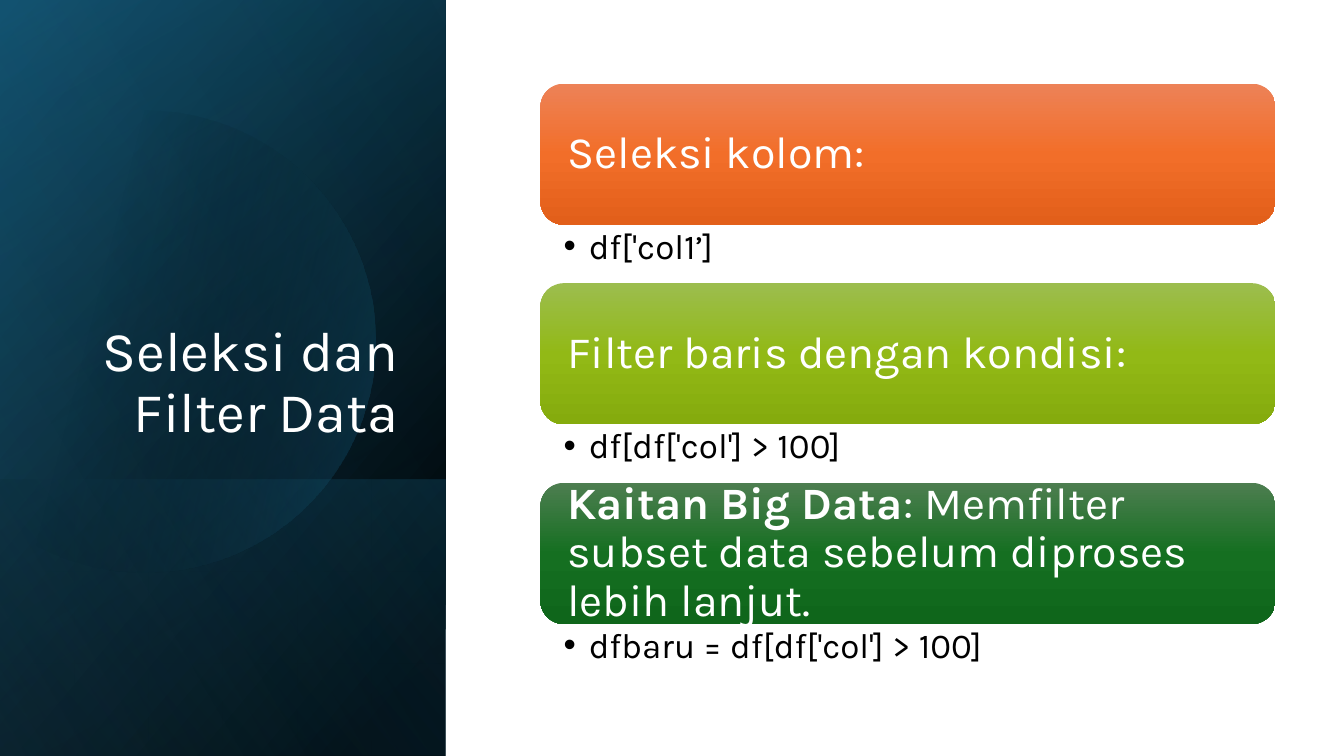
import math
from lxml import etree
from pptx import Presentation
from pptx import util as u
from pptx.dml.color import RGBColor
from pptx.enum import shapes, text
from pptx.oxml import ns

TITLE = "Seleksi dan Filter Data"
# (heading runs as (words, bold), code line, gradient stops)
CARDS = [
    ([("Seleksi kolom:", False)], "df['col1’]",
     [(0, "ED8257"), (50, "F26E29"), (100, "E25F1A")]),
    ([("Filter baris dengan kondisi:", False)], "df[df['col'] > 100]",
     [(0, "9CBD4E"), (50, "92B916"), (100, "85AB0D")]),
    ([("Kaitan Big Data", True),
      (": Memfilter subset data sebelum diproses lebih lanjut.", False)],
     "dfbaru = df[df['col'] > 100]",
     [(0, "4D7E50"), (50, "156F21"), (100, "0F661B")]),
]
# Panel layers: (top, height, angle, stops as (place, colour, opacity))
BASE = [
    (0, 7.5, 50, [(8, "000000"), (100, "104862")]),
    (0, 7.5, 30, [(0, "000000", 0), (99, "156082", 46)]),
    (4.76, 2.74, 130, [(2, "156082", 29), (100, "000000", 30)]),
]
GLOW = [(29, "000000", 0), (100, "156082", 43)]
SHEEN = (0, 7.5, 120, [(0, "000000", 0), (99, "46B1E1", 11)])
PANEL = 4.42
DISC = (1.43, 3.39, 2.29)  # centre x, centre y, radius
LEFT, TOP, WIDTH, HIGH, STEP, LINE = 5.36, 0.83, 7.29, 1.4, 1.98, 0.58


def inches(*vals):
    return [u.Inches(v) for v in vals]


def rgb(code):
    return RGBColor.from_string(code)


def paint(shape, stops, angle):
    """Give a shape a linear gradient, clockwise in degrees, and no line or shadow."""
    shape.shadow.inherit = False
    shape.line.fill.background()
    grad = etree.Element(ns.qn("a:gradFill"), rotWithShape="1")
    items = etree.SubElement(grad, ns.qn("a:gsLst"))
    for place, code, *alpha in stops:
        stop = etree.SubElement(items, ns.qn("a:gs"), pos=str(place * 1000))
        tint = etree.SubElement(stop, ns.qn("a:srgbClr"), val=code)
        for part in alpha:
            etree.SubElement(tint, ns.qn("a:alpha"), val=str(part * 1000))
    etree.SubElement(grad, ns.qn("a:lin"), ang=str(angle * 60000), scaled="0")
    shape.element.spPr.insert(2, grad)


def layer(tree, top, high, angle, stops):
    """Add a panel rectangle, mirrored and turned a quarter."""
    rect = tree.add_shape(shapes.MSO_SHAPE.RECTANGLE, *inches(
        (PANEL - high) / 2, top + (high - PANEL) / 2, high, PANEL))
    rect.rotation = 90
    rect.element.spPr.xfrm.set("flipH", "1")
    paint(rect, stops, angle)


def disc(tree):
    midx, midy, rad = DISC
    edge = math.acos(-midx / rad)
    turns = [edge * (k / 60 - 1) for k in range(121)]
    dots = [inches(midx + rad * math.cos(t), midy + rad * math.sin(t)) for t in turns]
    form = tree.build_freeform(*dots[0])
    form.add_line_segments(dots[1:], close=True)
    paint(form.convert_to_shape(), GLOW, 14)


def write(frame, runs, size, code, align, anchor, pads):
    sides = ("margin_left", "margin_top", "margin_right", "margin_bottom")
    look = dict(zip(sides, inches(*pads)), word_wrap=True,
                auto_size=text.MSO_AUTO_SIZE.NONE, vertical_anchor=anchor)
    for name, val in look.items():
        setattr(frame, name, val)
    para = frame.paragraphs[0]
    para.alignment, para.line_spacing = align, 0.9
    for words, bold in runs:
        run = para.add_run()
        run.text = words
        for name, val in dict(name="Karla", size=u.Pt(size), bold=bold).items():
            setattr(run.font, name, val)
        run.font.color.rgb = rgb(code)
    return para


def bullet(para):
    props = para._p.get_or_add_pPr()
    props.set("marL", str(u.Inches(0.25)))
    props.set("indent", str(u.Inches(-0.25)))
    etree.SubElement(props, ns.qn("a:buFont"), typeface="Arial")
    etree.SubElement(props, ns.qn("a:buChar"), char="•")


def card(tree, top, runs, line, stops):
    """Add a heading box with its code line below."""
    side, mid = text.PP_ALIGN.LEFT, text.MSO_ANCHOR
    box = tree.add_shape(shapes.MSO_SHAPE.ROUNDED_RECTANGLE,
                         *inches(LEFT, top, WIDTH, HIGH))
    paint(box, stops, 90)
    write(box.text_frame, runs, 32, "FFFFFF", side, mid.MIDDLE, (0.2, 0.2, 0.2, 0.2))
    note = tree.add_textbox(*inches(LEFT, top + HIGH, WIDTH, LINE))
    bullet(write(note.text_frame, [(line, False)], 25, "000000", side, mid.TOP,
                 (0.23, 0.04, 0.25, 0.04)))


def main():
    deck = Presentation()
    deck.slide_width, deck.slide_height = inches(13.33, 7.5)
    tree = deck.slides.add_slide(deck.slide_layouts[5]).shapes
    for spec in BASE:
        layer(tree, *spec)
    disc(tree)
    layer(tree, *SHEEN)
    head = tree.title
    head.left, head.top, head.width, head.height = inches(0.64, 1.84, 3.41, 2.62)
    write(head.text_frame, [(TITLE, False)], 40, "FFFFFF", text.PP_ALIGN.RIGHT,
          text.MSO_ANCHOR.BOTTOM, (0.1, 0.05, 0.1, 0.05))
    head.element.getparent().append(head.element)  # in front of the panel
    for i, (runs, line, stops) in enumerate(CARDS):
        card(tree, TOP + i * STEP, runs, line, stops)
    deck.save("out.pptx")


if __name__ == "__main__":
    main()
